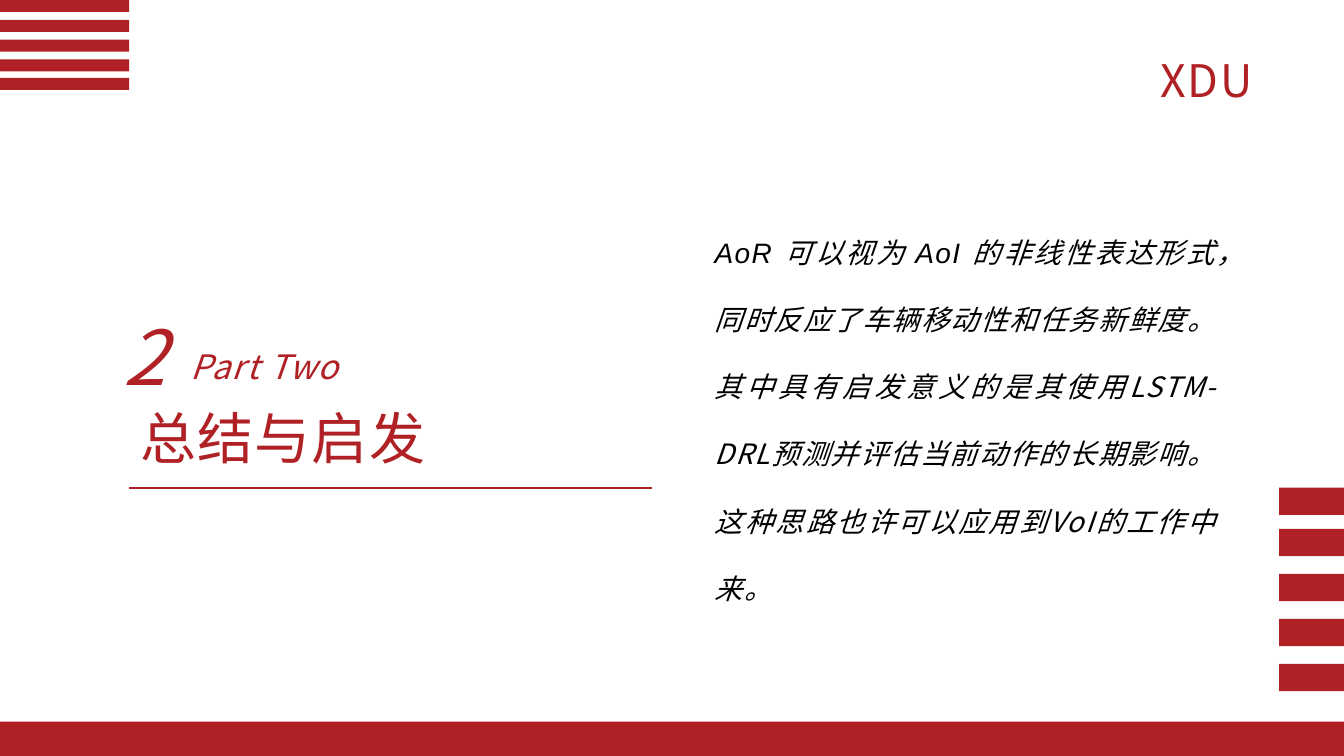
import pptx
import pptx.dml.color
import pptx.enum.lang
import pptx.enum.shapes
import pptx.enum.text
import pptx.oxml
import pptx.oxml.ns
import pptx.util

Pt = pptx.util.Pt
COLORS = {"red": "AF2125", "black": "000000"}
SANS = "Noto Sans CJK SC"
LATIN = "Arial"


def color(name):
    return pptx.dml.color.RGBColor.from_string(COLORS[name])


def write_text(shape, box, runs, size, color_name, italic, line_spacing, wrap):
    """Place a shape and fill it with one justified paragraph of (text, font) runs."""
    shape.left, shape.top, shape.width, shape.height = map(Pt, box)
    frame = shape.text_frame
    frame_format = {
        "word_wrap": wrap,
        "auto_size": pptx.enum.text.MSO_AUTO_SIZE.SHAPE_TO_FIT_TEXT,
        "vertical_anchor": pptx.enum.text.MSO_ANCHOR.TOP,
    }
    for name, value in frame_format.items():
        setattr(frame, name, value)

    paragraph = frame.paragraphs[0]
    paragraph_format = {
        "alignment": pptx.enum.text.PP_ALIGN.JUSTIFY,
        "line_spacing": line_spacing,
        "space_before": Pt(0),
        "space_after": Pt(0),
    }
    for name, value in paragraph_format.items():
        setattr(paragraph, name, value)
    properties = paragraph._p.get_or_add_pPr()
    properties.set("marL", "0")
    properties.set("indent", "0")
    properties.append(pptx.oxml.parse_xml(f"<a:buNone {pptx.oxml.ns.nsdecls('a')}/>"))

    for text, font_name in runs:
        run = paragraph.add_run()
        run.text = text
        font_format = {
            "size": Pt(size),
            "name": font_name,
            "bold": False,
            "italic": italic,
            "language_id": pptx.enum.lang.MSO_LANGUAGE_ID.SIMPLIFIED_CHINESE,
        }
        for name, value in font_format.items():
            setattr(run.font, name, value)
        run.font.color.rgb = color(color_name)
        run_properties = run._r.get_or_add_rPr()
        run_properties.set("spc", "100")
        run_properties.append(pptx.oxml.parse_xml(
            f'<a:ea {pptx.oxml.ns.nsdecls("a")} typeface="{SANS}"/>'))


presentation = pptx.Presentation()
presentation.slide_width = Pt(960)
presentation.slide_height = Pt(540)
slide = presentation.slides.add_slide(presentation.slide_layouts[1])

# Red bars: bottom band, top-left stripes, right-hand stripes
bars = [(0, 515.5, 960, 24.5)]
bars += [(0, top, 92.2, 8.6) for top in (0, 14.2, 28.3, 42.5, 55.6)]
bars += [(913.6, top, 46.4, 19.5) for top in (348.3, 377.8, 410, 442.1, 474.2)]
for bar in bars:
    shape = slide.shapes.add_shape(
        pptx.enum.shapes.MSO_SHAPE.RECTANGLE, *map(Pt, bar))
    shape.shadow.inherit = False
    shape.fill.solid()
    shape.fill.fore_color.rgb = color("red")
    shape.line.fill.background()

# Section heading
write_text(slide.shapes.title, (92.9, 270, 221.8, 64.1),
           [("总结与启发", SANS)], 40, "red", False, 1.3, True)

labels = [
    ("XDU", (822.2, 22.3, 87.1, 53.3), 32, False),
    ("2", (81.4, 198.7, 47.5, 84.2), 54, True),
    ("Part Two", (128.9, 234.7, 123.1, 41), 24, True),
]
for text, box, size, italic in labels:
    label = slide.shapes.add_textbox(*map(Pt, box))
    write_text(label, box, [(text, SANS)], size, "red", italic, 1.3, False)

underline = slide.shapes.add_connector(
    pptx.enum.shapes.MSO_CONNECTOR.STRAIGHT, Pt(92.2), Pt(348.5), Pt(465.4), Pt(348.5))
underline.line.color.rgb = color("red")
underline.line.width = Pt(1.25)
underline._element.spPr.append(
    pptx.oxml.parse_xml(f"<a:effectLst {pptx.oxml.ns.nsdecls('a')}/>"))

# Summary
summary = [
    ("AoR ", LATIN),
    ("可以视为 ", SANS),
    ("AoI ", LATIN),
    ("的非线性表达形式，同时反应了车辆移动性和任务新鲜度。其中具有启发意义的是其使用"
     "LSTM-DRL预测并评估当前动作的长期影响。这种思路也许可以应用到VoI的工作中来。", SANS),
]
write_text(slide.placeholders[1], (503.3, 140.4, 373, 290.9),
           summary, 20, "black", True, 2.0, True)

presentation.save("out.pptx")
